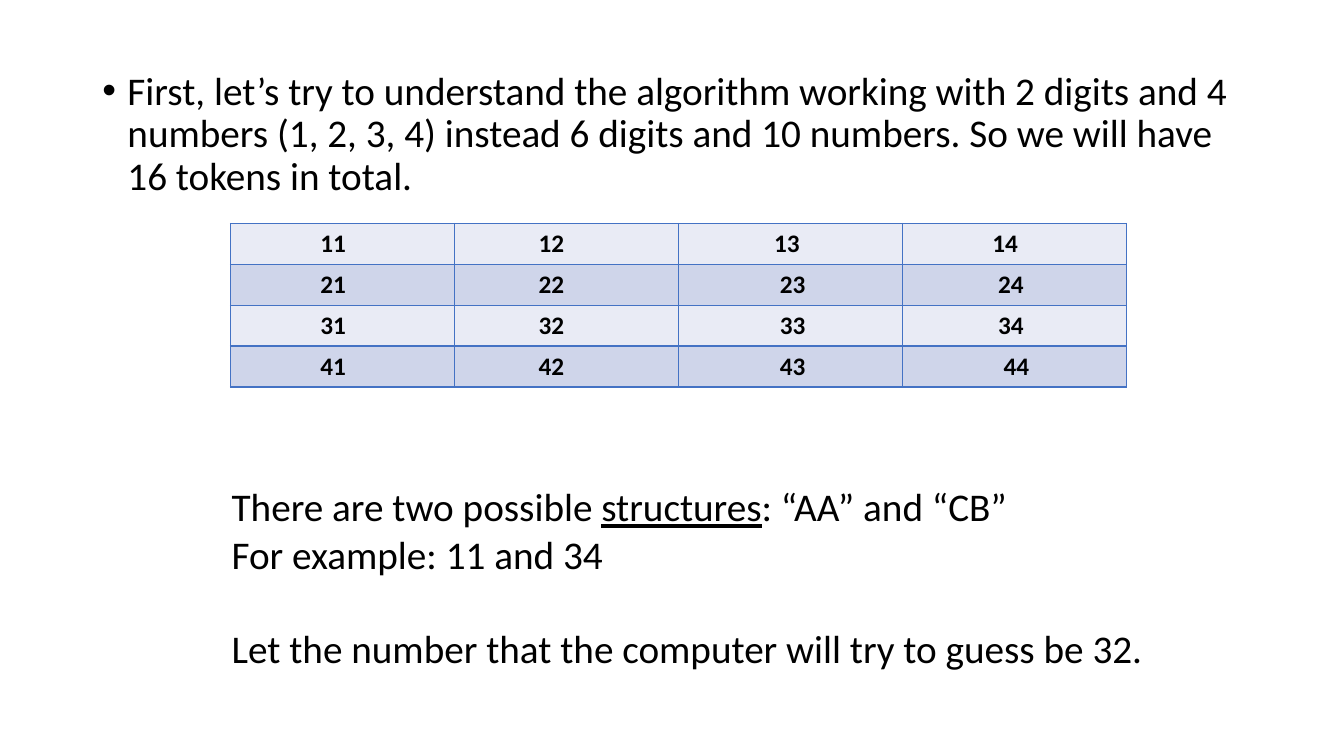
from lxml import etree
from pptx import Presentation
from pptx.dml.color import RGBColor
from pptx.oxml.ns import qn
from pptx.util import Pt

BLACK = RGBColor(0x00, 0x00, 0x00)
GRID_BLUE = RGBColor(0x44, 0x72, 0xC4)
BAND_FILLS = (RGBColor(0xE9, 0xEB, 0xF5), RGBColor(0xCF, 0xD5, 0xEA))

FONT = "Calibri"
COLUMN_WIDTH, ROW_HEIGHT = 160, 29.2
CELL_INSET, INDENT_STEP = 7.2, 4.07
DIGITS = (1, 2, 3, 4)
# Indent of each token, in steps, by row and column
TOKEN_STEPS = (
    (14, 13, 15, 14),
    (14, 13, 16, 15),
    (14, 13, 16, 15),
    (14, 13, 16, 16),
)


def add_run(paragraph, text, size=28, bold=False, underline=False, color=BLACK):
    run = paragraph.add_run()
    run.text = text
    font = run.font
    font.name, font.size = FONT, Pt(size)
    font.bold, font.underline = bold, underline
    font.color.rgb = color


def add_text_frame(slide, left, top, width, height):
    box = slide.shapes.add_textbox(Pt(left), Pt(top), Pt(width), Pt(height))
    box.text_frame.word_wrap = True
    return box.text_frame


def add_bullet(paragraph, indent):
    """Give the paragraph a round bullet with a hanging indent."""
    properties = paragraph._p.get_or_add_pPr()
    properties.set("marL", str(Pt(indent)))
    properties.set("indent", str(-Pt(indent)))
    etree.SubElement(properties, qn("a:buFont"), typeface="Arial")
    etree.SubElement(properties, qn("a:buChar"), char="•")


def add_cell_borders(cell, color, width):
    properties = cell._tc.get_or_add_tcPr()
    for position, side in enumerate(("a:lnL", "a:lnR", "a:lnT", "a:lnB")):
        line = etree.Element(qn(side), w=str(Pt(width)))
        fill = etree.SubElement(line, qn("a:solidFill"))
        etree.SubElement(fill, qn("a:srgbClr"), val=str(color))
        properties.insert(position, line)


def add_token_table(slide, left, top):
    """Add the grid of all two-digit tokens."""
    count = len(DIGITS)
    table = slide.shapes.add_table(
        count, count, Pt(left), Pt(top),
        Pt(count * COLUMN_WIDTH), Pt(count * ROW_HEIGHT),
    ).table
    table.first_row = False
    for row, first_digit in enumerate(DIGITS):
        table.rows[row].height = Pt(ROW_HEIGHT)
        for column, second_digit in enumerate(DIGITS):
            cell = table.cell(row, column)
            cell.fill.solid()
            cell.fill.fore_color.rgb = BAND_FILLS[row % 2]
            cell.margin_left = Pt(CELL_INSET + INDENT_STEP * TOKEN_STEPS[row][column])
            add_run(cell.text_frame.paragraphs[0], f"{first_digit}{second_digit}",
                    size=18, bold=True)
            add_cell_borders(cell, GRID_BLUE, 1)


def main():
    deck = Presentation()
    deck.slide_width, deck.slide_height = Pt(960), Pt(540)
    slide = deck.slides.add_slide(deck.slide_layouts[6])

    introduction = add_text_frame(slide, 66, 47.5, 828, 342.7).paragraphs[0]
    introduction.line_spacing = 0.9
    add_bullet(introduction, 18)
    add_run(introduction,
            "First, let’s try to understand the algorithm working with 2 digits "
            "and 4 numbers (1, 2, 3, 4) instead 6 digits and 10 numbers. "
            "So we will have 16 tokens in total.")

    add_token_table(slide, 164.7, 159.6)

    explanation = add_text_frame(slide, 158.4, 341.3, 682.6, 143.3)
    structures = explanation.paragraphs[0]
    add_run(structures, "There are two possible ")
    add_run(structures, "structures", underline=True)
    add_run(structures, ": “AA” and “CB”")
    add_run(explanation.add_paragraph(), "For example: 11 and 34")
    target = explanation.add_paragraph()
    target.space_before = Pt(33.6)
    add_run(target, "Let the number that the computer will try to guess be 32.")

    deck.save("out.pptx")


if __name__ == "__main__":
    main()
